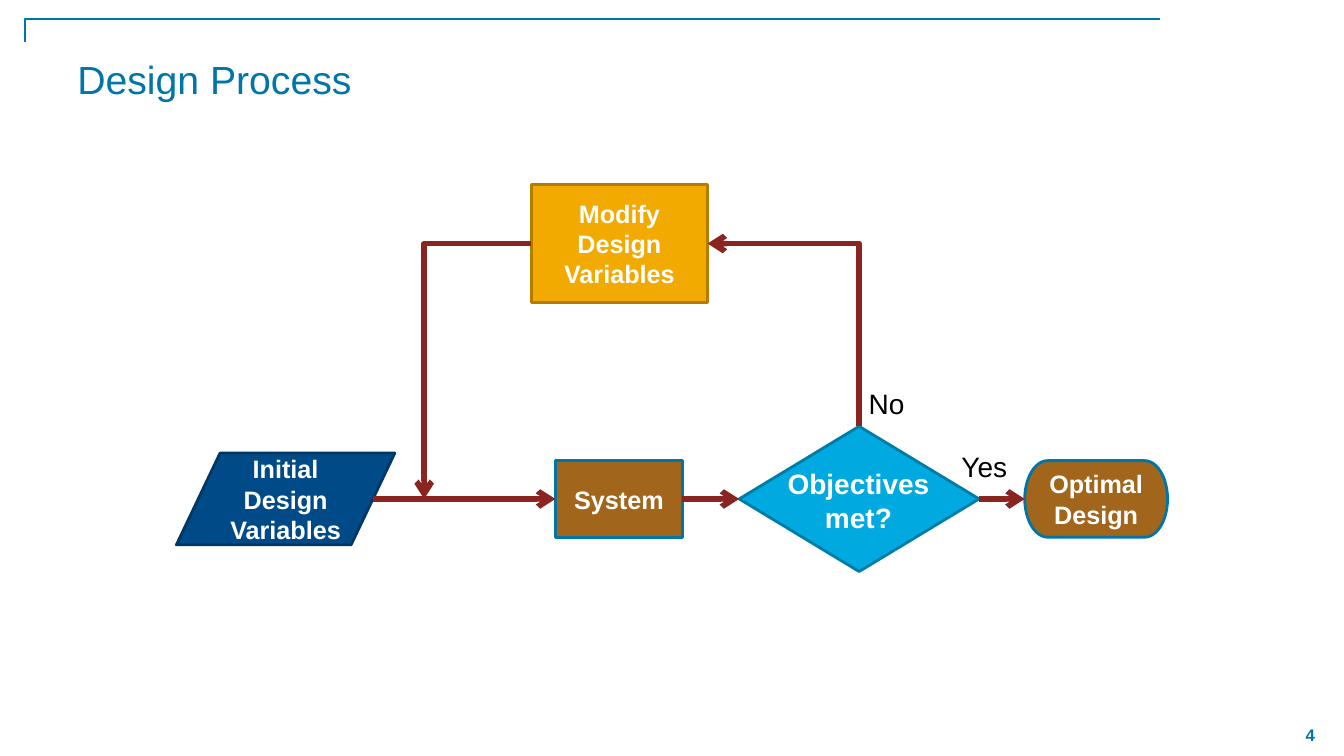
from dataclasses import dataclass
from itertools import pairwise

from lxml.etree import SubElement
from pptx import Presentation
from pptx.dml.color import RGBColor
from pptx.enum.shapes import MSO_CONNECTOR, MSO_SHAPE
from pptx.enum.text import MSO_ANCHOR, MSO_AUTO_SIZE, PP_ALIGN
from pptx.oxml.ns import qn
from pptx.slide import Slide
from pptx.text.text import TextFrame
from pptx.util import Inches, Pt

TEAL = RGBColor(0x00, 0x76, 0xA8)
DARK_TEAL = RGBColor(0x00, 0x7D, 0xA6)
SKY = RGBColor(0x00, 0xA9, 0xE0)
AMBER = RGBColor(0xF2, 0xA9, 0x00)
DARK_AMBER = RGBColor(0xB3, 0x7D, 0x00)
BROWN = RGBColor(0xA1, 0x66, 0x1B)
NAVY = RGBColor(0x00, 0x4B, 0x87)
DARK_NAVY = RGBColor(0x00, 0x37, 0x64)
RED = RGBColor(0x89, 0x24, 0x21)
WHITE = RGBColor(0xFF, 0xFF, 0xFF)
BLACK = RGBColor(0x00, 0x00, 0x00)

SLIDE_WIDTH, SLIDE_HEIGHT = Inches(13.333), Inches(7.5)
COLUMN, ROW = SLIDE_WIDTH / 160, SLIDE_HEIGHT / 90
FLOW_ROW, FEEDBACK_ROW, MERGE_COLUMN = 59.4, 29, 50.5

Point = tuple[float, float]


@dataclass(frozen=True)
class Node:
    """A flowchart step, centred on a grid row."""

    kind: MSO_SHAPE
    text: str
    left: float
    middle: float
    width: float
    height: float
    fill: RGBColor
    outline: RGBColor
    outlet_share: float = 1

    @property
    def top(self) -> float:
        return self.middle - self.height / 2

    @property
    def inlet(self) -> Point:
        return self.left, self.middle

    @property
    def outlet(self) -> Point:
        return self.left + self.width * self.outlet_share, self.middle


@dataclass(frozen=True)
class Label:
    """A free text box on the grid."""

    text: str
    left: float
    top: float
    width: float
    height: float
    size: float = 20
    color: RGBColor = BLACK
    bold: bool = False
    align: PP_ALIGN = PP_ALIGN.LEFT
    anchor: MSO_ANCHOR = MSO_ANCHOR.TOP


INITIAL = Node(MSO_SHAPE.FLOWCHART_DATA, "Initial Design Variables",
               21, FLOW_ROW, 26, 10.92, NAVY, DARK_NAVY, 0.9)
SYSTEM = Node(MSO_SHAPE.FLOWCHART_PROCESS, "System",
              66.12, FLOW_ROW, 15.12, 9.12, BROWN, TEAL)
DECISION = Node(MSO_SHAPE.FLOWCHART_DECISION, "",
                88, FLOW_ROW, 28.56, 17.28, SKY, DARK_TEAL)
OPTIMAL = Node(MSO_SHAPE.FLOWCHART_TERMINATOR, "Optimal Design",
               122, FLOW_ROW, 17, 9.12, BROWN, TEAL)
MODIFY = Node(MSO_SHAPE.FLOWCHART_PROCESS, "Modify Design Variables",
              63.24, FEEDBACK_ROW, 21, 14, AMBER, DARK_AMBER)
FLOW = (INITIAL, SYSTEM, DECISION, OPTIMAL)

LABELS = (
    Label("Objectives\nmet?", 91.2, 55, 22, 9.24, color=WHITE, bold=True,
          align=PP_ALIGN.CENTER),
    Label("No", 102.24, 45.48, 8.76, 5.28),
    Label("Yes", 113.28, 52.92, 8.76, 5.28),
    Label("4", 152, 85, 8, 5, size=12, color=TEAL, bold=True,
          align=PP_ALIGN.CENTER, anchor=MSO_ANCHOR.MIDDLE),
)


def grid(*lengths: float) -> list[int]:
    """Convert alternating columns and rows to slide lengths."""
    return [round(length * (ROW if index % 2 else COLUMN))
            for index, length in enumerate(lengths)]


def write(frame: TextFrame, text: str, *, size: float, color: RGBColor,
          bold: bool = False, align: PP_ALIGN = PP_ALIGN.CENTER,
          anchor: MSO_ANCHOR = MSO_ANCHOR.MIDDLE) -> None:
    """Fill a text frame with formatted text."""
    frame.text = text
    frame.word_wrap = True
    frame.auto_size = MSO_AUTO_SIZE.NONE
    frame.vertical_anchor = anchor
    for paragraph in frame.paragraphs:
        paragraph.alignment = align
        paragraph.font.name = "Arial"
        paragraph.font.size = Pt(size)
        paragraph.font.bold = bold
        paragraph.font.color.rgb = color


def draw_line(slide: Slide, start: Point, end: Point, *, bent: bool = False,
              color: RGBColor = RED, width: float = 4, arrow: str = "") -> None:
    """Draw a straight line, or one that runs across and then down."""
    kind = MSO_CONNECTOR.ELBOW if bent else MSO_CONNECTOR.STRAIGHT
    connector = slide.shapes.add_connector(kind, *grid(*start, *end))
    connector.line.color.rgb = color
    connector.line.width = Pt(width)
    properties = connector.element.spPr
    if bent:
        properties.find(qn("a:prstGeom")).set("prst", "bentConnector2")
    if arrow:
        SubElement(properties.find(qn("a:ln")), qn(f"a:{arrow}")).set("type", "arrow")
    SubElement(properties, qn("a:effectLst"))


def draw_node(slide: Slide, node: Node) -> None:
    """Draw one flowchart step."""
    shape = slide.shapes.add_shape(
        node.kind, *grid(node.left, node.top, node.width, node.height))
    shape.shadow.inherit = False
    shape.fill.solid()
    shape.fill.fore_color.rgb = node.fill
    shape.line.color.rgb = node.outline
    shape.line.width = Pt(2)
    if node.text:
        write(shape.text_frame, node.text, size=18, color=WHITE, bold=True)


def draw_label(slide: Slide, label: Label) -> None:
    """Draw one free text box."""
    box = slide.shapes.add_textbox(
        *grid(label.left, label.top, label.width, label.height))
    write(box.text_frame, label.text, size=label.size, color=label.color,
          bold=label.bold, align=label.align, anchor=label.anchor)


def main() -> None:
    """Build the design process slide."""
    presentation = Presentation()
    presentation.slide_width, presentation.slide_height = SLIDE_WIDTH, SLIDE_HEIGHT
    slide = presentation.slides.add_slide(presentation.slide_layouts[5])

    title = slide.shapes.title
    title.left, title.top, title.width, title.height = grid(8, 6, 141.4, 13)
    write(title.text_frame, "Design Process", size=28, color=TEAL,
          align=PP_ALIGN.LEFT, anchor=MSO_ANCHOR.TOP)
    draw_line(slide, (138.12, 2.28), (3, 5), bent=True, color=TEAL, width=1)

    for node in (*FLOW, MODIFY):
        draw_node(slide, node)
    for source, target in pairwise(FLOW):
        draw_line(slide, source.outlet, target.inlet, arrow="tailEnd")
    draw_line(slide, MODIFY.inlet, (MERGE_COLUMN, FLOW_ROW), bent=True, arrow="tailEnd")
    decision_top = (DECISION.left + DECISION.width / 2, DECISION.top)
    draw_line(slide, MODIFY.outlet, decision_top, bent=True, arrow="headEnd")
    for label in LABELS:
        draw_label(slide, label)

    presentation.save("out.pptx")


if __name__ == "__main__":
    main()
